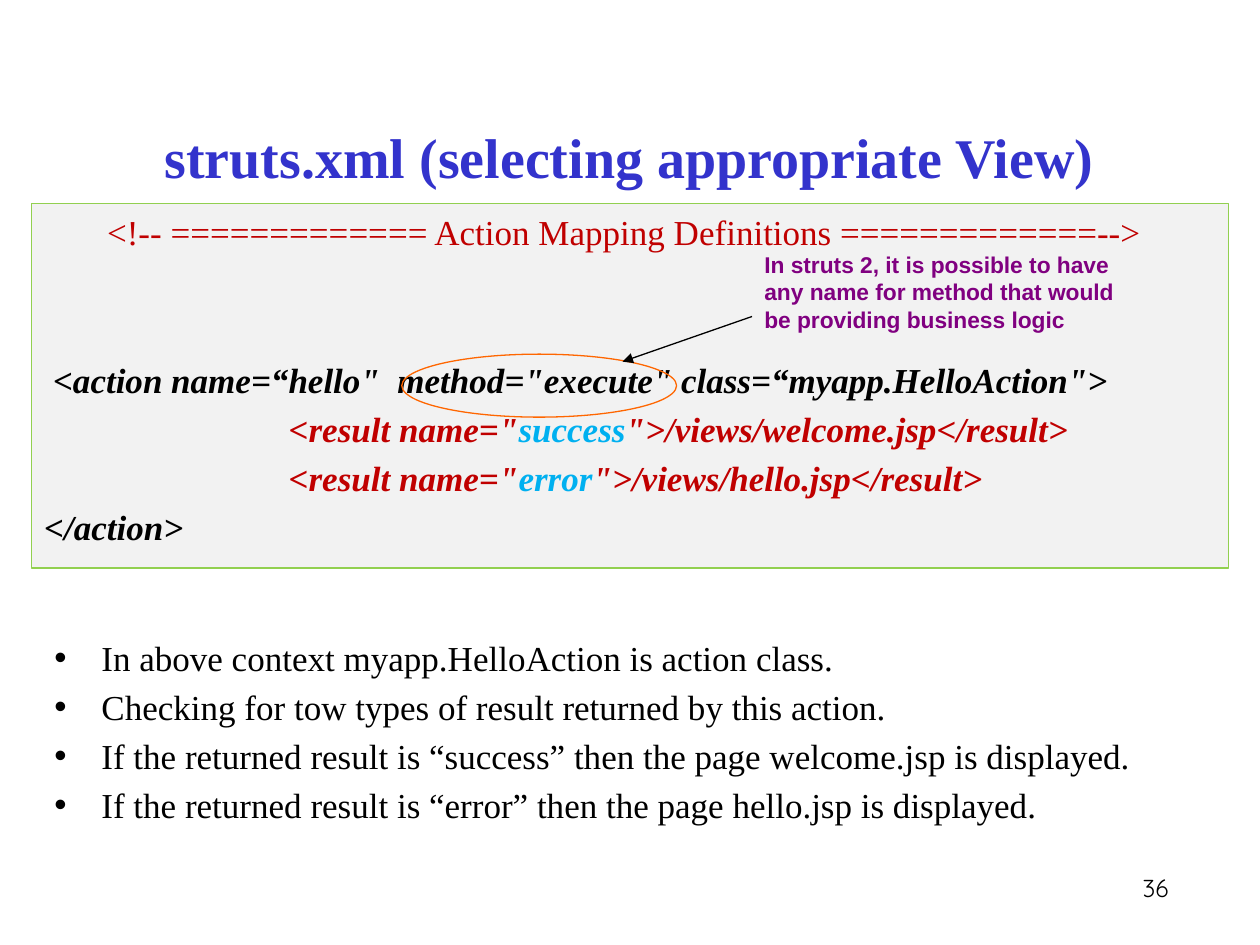
from dataclasses import dataclass

from pptx import Presentation
from pptx.dml.color import RGBColor
from pptx.enum.shapes import MSO_CONNECTOR, MSO_SHAPE
from pptx.enum.text import MSO_ANCHOR, MSO_AUTO_SIZE, PP_ALIGN
from pptx.oxml.ns import qn
from pptx.util import Cm, Pt
from lxml.etree import SubElement

SERIF = "Times New Roman"
BLACK, RED, CYAN = "000000", "C00000", "00B0F0"


@dataclass
class Box:
    left: float
    top: float
    width: float
    height: float

    def lengths(self) -> tuple:
        return Cm(self.left), Cm(self.top), Cm(self.width), Cm(self.height)


@dataclass
class CodeLine:
    pieces: list[tuple[str, str]]  # text and colour
    indent: float = 0
    before: float = 4
    strong: bool = True


def rgb(value: str) -> RGBColor:
    return RGBColor.from_string(value)


def style(r, size: float, color: str, name: str = SERIF,
          bold: bool = False, italic: bool = False) -> None:
    r.font.size, r.font.name = Pt(size), name
    r.font.bold, r.font.italic = bold, italic
    r.font.color.rgb = rgb(color)


def place(sp, box: Box):
    sp.left, sp.top, sp.width, sp.height = box.lengths()
    return frame(sp)


def frame(sp):
    tf = sp.text_frame
    tf.word_wrap = True
    tf.auto_size = MSO_AUTO_SIZE.NONE
    tf.vertical_anchor = MSO_ANCHOR.TOP
    return tf


def indent(p, left: float, first: float = 0) -> None:
    pPr = p._p.get_or_add_pPr()
    pPr.set("marL", str(Cm(left)))
    pPr.set("indent", str(Cm(first)))


def add_shape(s, kind, box: Box, line: str, fill: str = ""):
    sp = s.shapes.add_shape(kind, *box.lengths())
    sp.shadow.inherit = False
    sp.line.color.rgb = rgb(line)
    sp.line.width = Pt(0.75)
    if fill:
        sp.fill.solid()
        sp.fill.fore_color.rgb = rgb(fill)
    else:
        sp.fill.background()
    return sp


def add_code(s, box: Box, lines: list[CodeLine]) -> None:
    tf = frame(add_shape(s, MSO_SHAPE.RECTANGLE, box, "92D050", "F2F2F2"))
    for i, line in enumerate(lines):
        p = tf.add_paragraph() if i else tf.paragraphs[0]
        p.alignment = PP_ALIGN.LEFT
        p.space_before = Pt(line.before)
        indent(p, line.indent)
        for text, color in line.pieces:
            r = p.add_run()
            r.text = text
            style(r, 20, color, bold=line.strong, italic=line.strong)


def add_bullets(sp, box: Box, items: list[str]) -> None:
    tf = place(sp, box)
    tf.text = "\n".join(items)
    for p in tf.paragraphs:
        p.space_before = Pt(4)
        indent(p, 0.95, -0.95)
        SubElement(p._p.get_or_add_pPr(), qn("a:buChar")).set("char", "•")
        style(p.runs[0], 20, BLACK)


def add_label(s, box: Box, text: str, size: float, color: str, name: str,
              bold: bool = False):
    tf = frame(s.shapes.add_textbox(*box.lengths()))
    tf.text = text
    p = tf.paragraphs[0]
    style(p.runs[0], size, color, name, bold)
    return p


def add_arrow(s, start: tuple[float, float], end: tuple[float, float]) -> None:
    points = [Cm(v) for v in (*start, *end)]
    c = s.shapes.add_connector(MSO_CONNECTOR.STRAIGHT, *points)
    c.line.color.rgb = rgb(BLACK)
    c.line.width = Pt(0.75)
    SubElement(c.get_or_add_ln(), qn("a:tailEnd")).set("type", "triangle")
    SubElement(c._element.spPr, qn("a:effectLst"))


def result_line(result: str, page: str) -> CodeLine:
    return CodeLine([('<result name="', RED), (result, CYAN),
                     (f'">/views/{page}</result>', RED)], indent=4.93)


def main() -> None:
    prs = Presentation()
    prs.slide_width, prs.slide_height = Cm(25.4), Cm(19.05)
    s = prs.slides.add_slide(prs.slide_layouts[1])

    # Title
    tf = place(s.shapes.title, Box(0.84, 2.34, 23.7, 1.63))
    tf.text = "struts.xml (selecting appropriate View)"
    tf.vertical_anchor = MSO_ANCHOR.MIDDLE
    tf.paragraphs[0].alignment = PP_ALIGN.CENTER
    style(tf.paragraphs[0].runs[0], 32, "3333CC", bold=True)

    # Configuration listing
    add_code(s, Box(0.64, 4.11, 24.13, 7.34), [
        CodeLine([("<!-- ============= Action Mapping Definitions "
                   "=============-->", RED)], 1.27, 5, False),
        CodeLine([('<action name=“hello"  method="execute" '
                   'class=“myapp.HelloAction">', BLACK)], 0.18, 61),
        result_line("success", "welcome.jsp"),
        result_line("error", "hello.jsp"),
        CodeLine([("</action>", BLACK)]),
    ])

    # Explanation
    add_bullets(s.placeholders[1], Box(0.84, 12.7, 23.62, 3.99), [
        "In above context myapp.HelloAction is action class.",
        "Checking for tow types of result returned by this action.",
        "If the returned result is “success” then the page welcome.jsp is displayed.",
        "If the returned result is “error” then the page hello.jsp is displayed.",
    ])

    # Callout on the method attribute
    add_shape(s, MSO_SHAPE.OVAL, Box(8.1, 7.14, 5.54, 1.27), "FF6600")
    add_arrow(s, (15.16, 6.38), (12.55, 7.29))
    add_label(s, Box(15.16, 4.93, 8.03, 1.9),
              "In struts 2, it is possible to have any name for method "
              "that would be providing business logic",
              13, "800080", "Arial", bold=True)

    # Slide number
    p = add_label(s, Box(22.61, 17.17, 1.37, 1.55), "36", 14, BLACK, "Quicksand")
    p.alignment = PP_ALIGN.CENTER
    p.line_spacing = 1.5

    prs.save("out.pptx")


if __name__ == "__main__":
    main()
